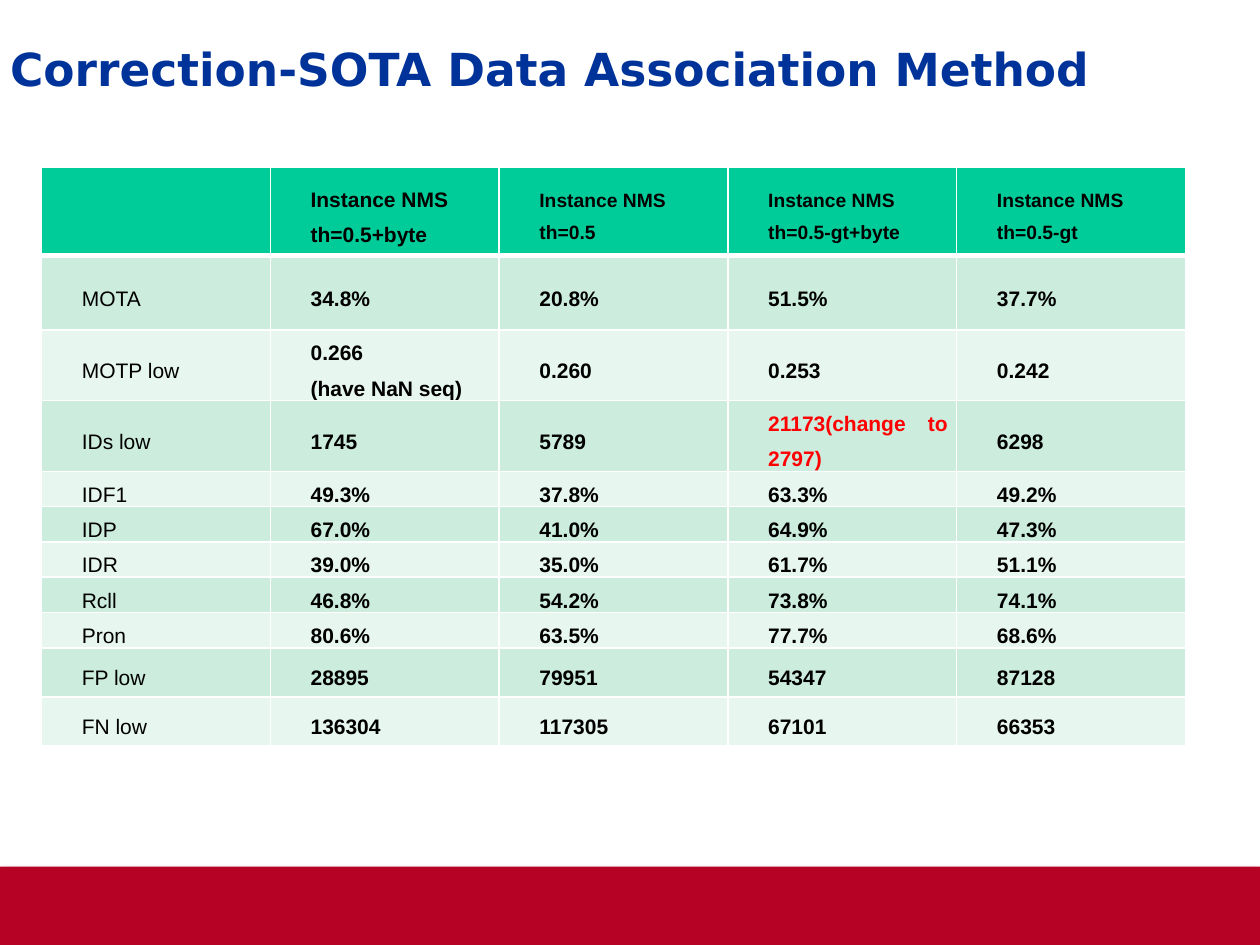
from dataclasses import dataclass
from typing import Any

from lxml import etree
from pptx import Presentation, util as u
from pptx.dml.color import RGBColor
from pptx.enum import shapes, text
from pptx.oxml import ns

HUES = {
    "title": "003399", "bar": "B60225", "head": "00CC99", "dark": "CCECDE",
    "light": "E7F6EF", "ink": "000000", "alert": "FF0000", "line": "FFFFFF",
}
WIDE, HIGH = u.Inches(10), u.Inches(7.5)
LEFT, JUST = text.PP_ALIGN.LEFT, text.PP_ALIGN.JUSTIFY
INSET = {"margin_left": u.Inches(0.07), "margin_right": u.Inches(0.07),
         "margin_top": 0, "margin_bottom": 0,
         "vertical_anchor": text.MSO_ANCHOR.MIDDLE}


@dataclass
class Row:
    high: float
    cells: tuple[str, ...]


ROWS = [
    Row(0.7, ("", "Instance NMS th=0.5+byte", "Instance NMS th=0.5",
              "Instance NMS th=0.5-gt+byte", "Instance NMS th=0.5-gt")),
    Row(0.59, ("MOTA", "34.8%", "20.8%", "51.5%", "37.7%")),
    Row(0.48, ("MOTP low", "0.266\n(have NaN seq)", "0.260", "0.253", "0.242")),
    Row(0.39, ("IDs low", "1745", "5789", "21173(change to 2797)", "6298")),
    Row(0.27, ("IDF1", "49.3%", "37.8%", "63.3%", "49.2%")),
    Row(0.27, ("IDP", "67.0%", "41.0%", "64.9%", "47.3%")),
    Row(0.27, ("IDR", "39.0%", "35.0%", "61.7%", "51.1%")),
    Row(0.27, ("Rcll", "46.8%", "54.2%", "73.8%", "74.1%")),
    Row(0.27, ("Pron", "80.6%", "63.5%", "77.7%", "68.6%")),
    Row(0.39, ("FP low", "28895", "79951", "54347", "87128")),
    Row(0.39, ("FN low", "136304", "117305", "67101", "66353")),
]


def hue(key: str) -> RGBColor:
    return RGBColor.from_string(HUES[key])


def apply(item: Any, form: dict[str, Any]) -> None:
    for key, val in form.items():
        setattr(item, key, val)


def node(base: Any, tag: str, **attrs: Any) -> Any:
    return etree.SubElement(base, ns.qn(tag), {k: str(v) for k, v in attrs.items()})


def edge(cell: Any, side: str, size: float) -> None:
    line = node(cell._tc.get_or_add_tcPr(), f"a:ln{side}", w=u.Pt(size))
    node(node(line, "a:solidFill"), "a:srgbClr", val=HUES["line"])


def draw_bar(slide: Any) -> None:
    top = int(HIGH * 0.917)
    bar = slide.shapes.add_shape(
        shapes.MSO_SHAPE.RECTANGLE, 0, top, WIDE, HIGH - top)
    bar.fill.solid()
    bar.fill.fore_color.rgb = hue("bar")
    bar.line.fill.background()
    glow = node(node(bar._element.spPr, "a:effectLst"), "a:outerShdw",
                blurRad=u.Pt(3.1), dist=u.Pt(1.8), dir=90 * 60000, rotWithShape=0)
    node(node(glow, "a:srgbClr", val=HUES["ink"]), "a:alpha", val=35000)
    slide.shapes._spTree.insert(2, bar._element)


def draw_title(slide: Any) -> None:
    title = slide.shapes.title
    apply(title, {"left": u.Inches(0.08), "top": u.Inches(0.19),
                  "width": u.Inches(9.77), "height": u.Inches(0.79)})
    frame = title.text_frame
    frame.text = "Correction-SOTA Data Association Method"
    apply(frame, {"margin_left": 0, "margin_top": 0,
                  "margin_right": u.Inches(0.1), "margin_bottom": u.Inches(0.05),
                  "vertical_anchor": text.MSO_ANCHOR.MIDDLE, "word_wrap": True,
                  "auto_size": text.MSO_AUTO_SIZE.NONE})
    para = frame.paragraphs[0]
    apply(para, {"alignment": LEFT, "line_spacing": 0.95})
    font = para.runs[0].font
    apply(font, {"name": "DejaVu Sans", "size": u.Pt(26), "bold": True})
    font.color.rgb = hue("title")


def draw_cell(cell: Any, words: str, row: int, col: int) -> None:
    cell.text = words
    apply(cell, INSET)
    for side in "LRTB":
        thick = (row, side) in ((0, "B"), (1, "T"))
        edge(cell, side, 3 if thick else 1)
    cell.fill.solid()
    shade = "dark" if row % 2 else "light"
    cell.fill.fore_color.rgb = hue(shade if row else "head")
    for para in cell.text_frame.paragraphs:
        para._p.get_or_add_pPr().set("marL", str(u.Inches(0.25)))
        apply(para, {"line_spacing": 1.5,
                     "alignment": JUST if row and col in (1, 3, 4) else LEFT})
        for run in para.runs:
            apply(run.font, {"name": "Arial", "bold": row == 0 or col > 0,
                             "size": u.Pt(11 if row == 0 and col > 1 else 12)})
            run.font.color.rgb = hue("alert" if (row, col) == (3, 3) else "ink")


def draw_table(slide: Any) -> None:
    cols = len(ROWS[0].cells)
    box = slide.shapes.add_table(
        len(ROWS), cols, u.Inches(0.33), u.Inches(1.33),
        u.Inches(9.08), u.Inches(4.77))
    grid = box.table
    for r, row in enumerate(ROWS):
        grid.rows[r].height = u.Inches(row.high)
        for c, words in enumerate(row.cells):
            draw_cell(grid.cell(r, c), words, r, c)
    box.height = u.Inches(4.77)


def main() -> None:
    deck = Presentation()
    apply(deck, {"slide_width": WIDE, "slide_height": HIGH})
    slide = deck.slides.add_slide(deck.slide_layouts[5])
    draw_bar(slide)
    draw_title(slide)
    draw_table(slide)
    deck.save("out.pptx")


if __name__ == "__main__":
    main()
